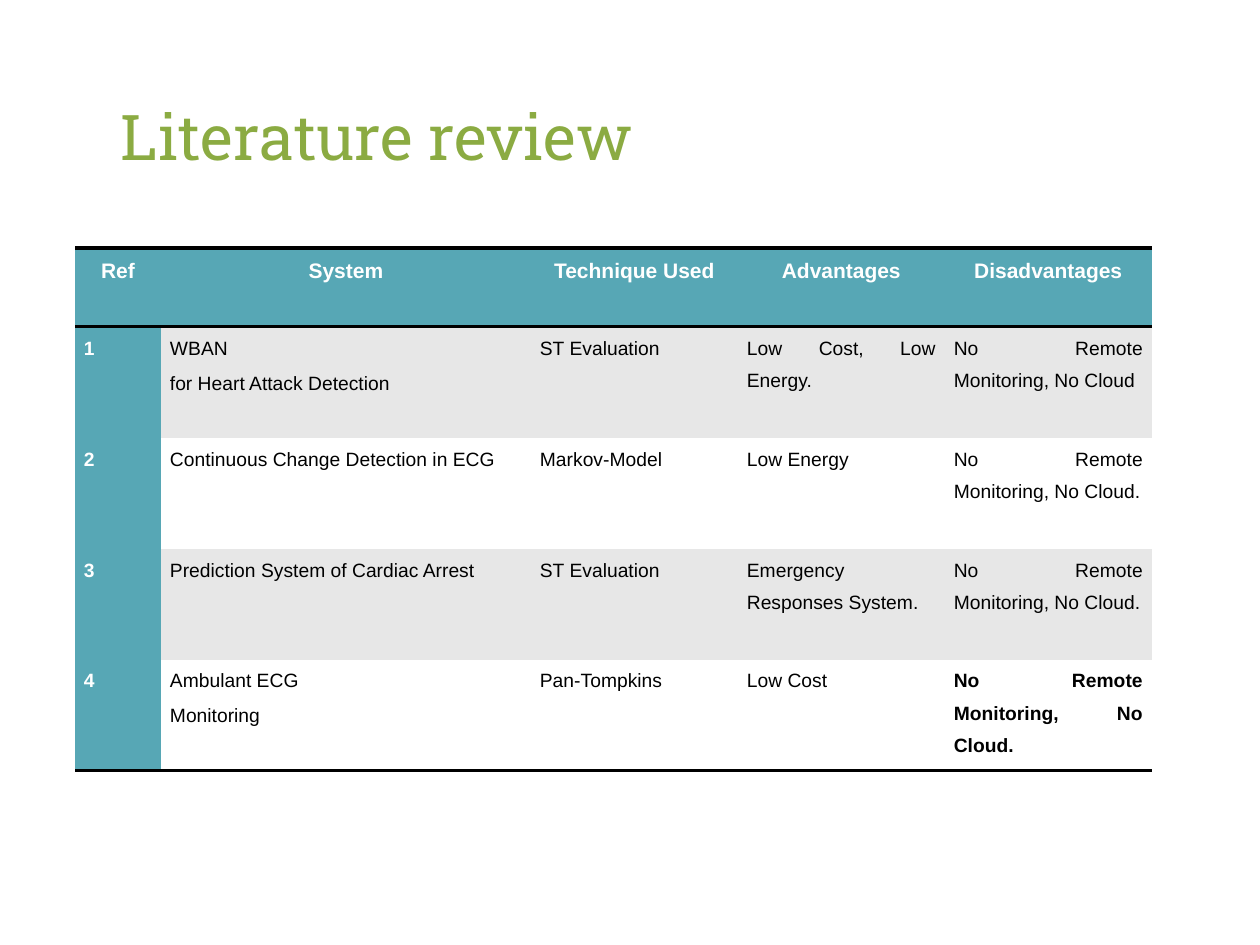
from lxml.etree import SubElement
from pptx import Presentation
from pptx.dml.color import RGBColor
from pptx.enum.text import MSO_ANCHOR, PP_ALIGN
from pptx.oxml.ns import qn
from pptx.util import Emu, Pt

SCALE = 914400 // 126
TEAL, GREY, WHITE, BLACK = "57A7B5", "E7E7E7", "FFFFFF", "000000"
COLS = [86, 370, 207, 207, 207]
ROWS = [79, 111, 111, 111, 111]
DATA = [
    ["Ref", "System", "Technique Used", "Advantages", "Disadvantages"],
    ["1", "WBAN\nfor Heart Attack Detection", "ST Evaluation",
     "Low Cost, Low Energy.", "No Remote Monitoring, No Cloud"],
    ["2", "Continuous Change Detection in ECG", "Markov-Model",
     "Low Energy", "No Remote Monitoring, No Cloud."],
    ["3", "Prediction System of Cardiac Arrest", "ST Evaluation",
     "Emergency Responses System.", "No Remote Monitoring, No Cloud."],
    ["4", "Ambulant ECG\nMonitoring", "Pan-Tompkins",
     "Low Cost", "No Remote Monitoring, No Cloud."],
]
LAST = len(ROWS) - 1, len(COLS) - 1


def px(num):
    """Turn whole pixels into EMU."""
    return Emu(num * SCALE)


def tint(code):
    """Turn a hex string into a colour."""
    return RGBColor.from_string(code)


def apply(item, values):
    """Set each named value on an item."""
    for name, value in values.items():
        setattr(item, name, value)


def style(frame, font, color, para):
    """Format every paragraph of a text frame."""
    for part in frame.paragraphs:
        apply(part, para)
        for run in part.runs:
            apply(run.font, font)
            run.font.color.rgb = tint(color)


def edge(cell, lined):
    """Draw the lined sides of a cell and clear the others."""
    props = cell._tc.get_or_add_tcPr()
    for side in "LRTB":
        line = SubElement(props, qn(f"a:ln{side}"), w=str(Pt(2)))
        if side in lined:
            fill = SubElement(line, qn("a:solidFill"))
            SubElement(fill, qn("a:srgbClr"), val=BLACK)
        else:
            SubElement(line, qn("a:noFill"))


def title(slide, box, text):
    """Place the slide title at the bottom of its box."""
    frame = slide.shapes.add_textbox(*map(px, box)).text_frame
    inset = px(13)
    apply(frame, dict(word_wrap=True, vertical_anchor=MSO_ANCHOR.BOTTOM,
                      margin_left=inset, margin_right=inset,
                      margin_top=inset, margin_bottom=inset, text=text))
    style(frame, dict(name="Roboto Slab", size=Pt(36)), "8BAB42", {})


def entry(cell, row, col, text):
    """Fill one cell by its place in the grid."""
    head = row == 0
    key = head or col == 0
    apply(cell, dict(margin_left=px(9), margin_right=px(9),
                     margin_top=0, margin_bottom=0, text=text))
    edge(cell, "T" * (row < 2) + "B" * (row in (0, LAST[0])))
    cell.fill.solid()
    cell.fill.fore_color.rgb = tint(TEAL if key else GREY if row % 2 else WHITE)
    font = dict(name="Arial", size=Pt(12 if head else 11),
                bold=key or (row, col) == LAST)
    para = dict(alignment=PP_ALIGN.CENTER if head else PP_ALIGN.JUSTIFY,
                line_spacing=1.5, space_after=Pt(1.6 if col else 0))
    style(cell.text_frame, font, WHITE if key else BLACK, para)


def review(slide, left, top):
    """Place the review table with its top left corner at a point."""
    box = left, top, sum(COLS), sum(ROWS)
    table = slide.shapes.add_table(len(ROWS), len(COLS), *map(px, box)).table
    apply(table, dict(first_row=False, horz_banding=False))
    for col, width in zip(table.columns, COLS):
        col.width = px(width)
    for row, height in zip(table.rows, ROWS):
        row.height = px(height)
    for row, texts in enumerate(DATA):
        for col, text in enumerate(texts):
            entry(table.cell(row, col), row, col, text)


def main():
    """Build and save the slide."""
    deck = Presentation()
    apply(deck, dict(slide_width=px(1260), slide_height=px(945)))
    slide = deck.slides.add_slide(deck.slide_layouts[6])
    title(slide, (108, 57, 1043, 129), "Literature review")
    review(slide, 75, 248)
    deck.save("out.pptx")


if __name__ == "__main__":
    main()
